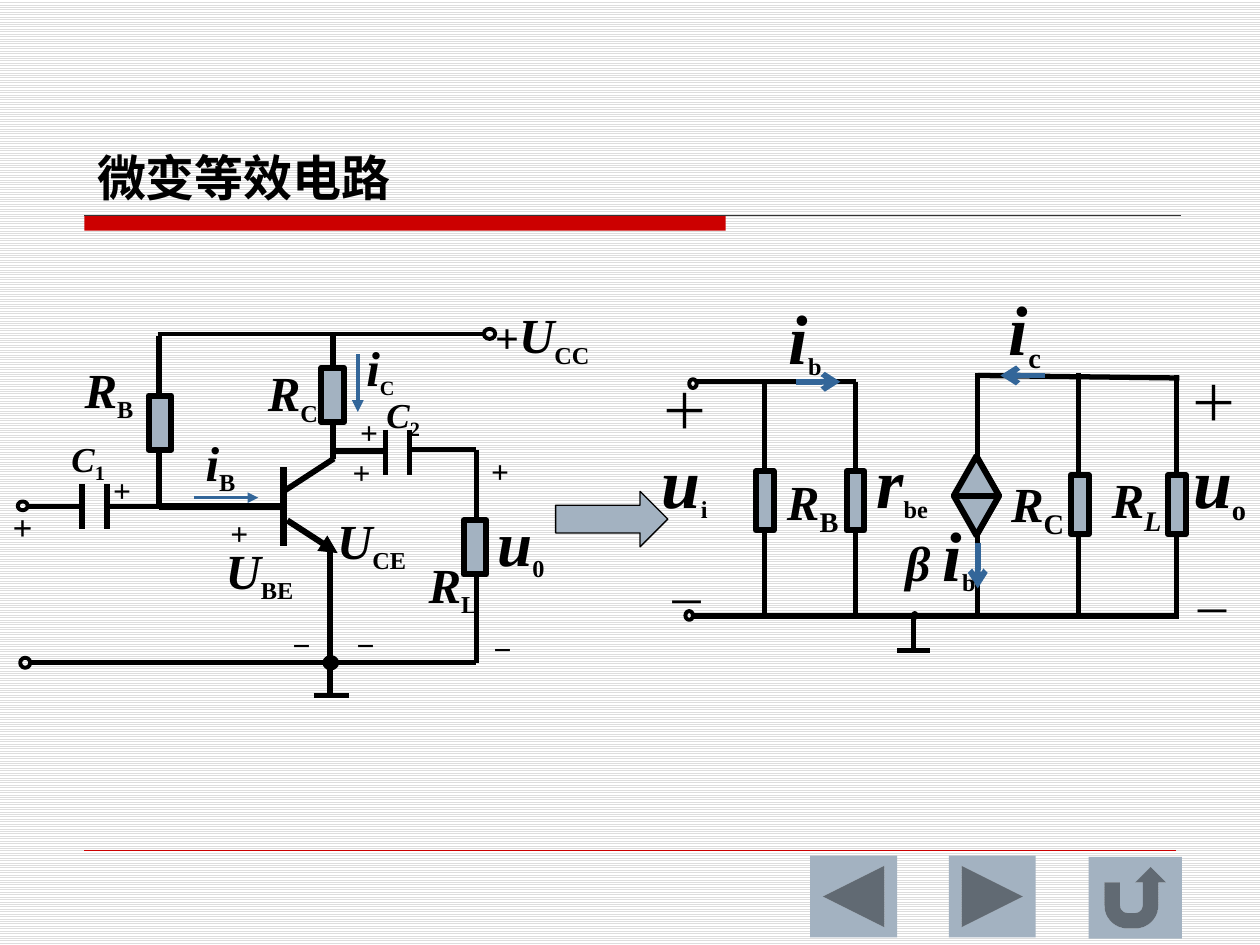
"""Build a slide showing an amplifier stage and its small-signal equivalent circuit."""
from dataclasses import dataclass
from typing import Optional

from lxml import etree
from pptx import Presentation
from pptx import util as u
from pptx.dml.color import RGBColor
from pptx.enum import dml, shapes, text
from pptx.oxml.ns import qn

COLORS = {"ink": "000000", "part": "A3B2C1", "current": "336699", "accent": "CC0000",
          "rule": "333333", "stripe": "DDDDDD", "paper": "FFFFFF"}
FONT, TITLE_FONT = "Times New Roman", "Noto Sans CJK SC"
COLUMNS, ROWS = 100, 75
SHAPE = shapes.MSO_SHAPE

presentation = Presentation()
presentation.slide_width, presentation.slide_height = u.Inches(10), u.Inches(7.5)


@dataclass(frozen=True)
class Wire:
    """A straight line between two grid points."""
    x1: float
    y1: float
    x2: float
    y2: float
    weight: float = 3
    color: str = "ink"
    arrow: str = ""


@dataclass(frozen=True)
class Block:
    """A preset shape on the grid."""
    left: float
    top: float
    width: float
    height: float
    kind: int = SHAPE.RECTANGLE
    fill: Optional[str] = "part"
    weight: float = 3.5


@dataclass(frozen=True)
class Run:
    """A piece of label text in one format."""
    text: str
    size: float
    italic: bool = False
    lowered: bool = False


@dataclass(frozen=True)
class Label:
    """A centred line of runs in a box whose height follows its largest run."""
    left: float
    top: float
    width: float
    runs: tuple
    bold: bool = True
    wrap: bool = False


@dataclass(frozen=True)
class Lead:
    """A wire from a block's connection site to a grid point."""
    block: int
    site: int
    x: float
    y: float


@dataclass(frozen=True)
class Circuit:
    """Everything drawn in one circuit diagram."""
    wires: list
    blocks: list
    leads: list
    currents: list
    labels: list


def symbol(name: str, size: float, index: str, index_size: float, slanted: bool = False) -> tuple:
    """Return the runs of an italic quantity with a subscript."""
    return Run(name, size, True), Run(index, index_size, slanted, True)


def column(count: float) -> int:
    """Convert grid columns to a length."""
    return round(presentation.slide_width * count / COLUMNS)


def row(count: float) -> int:
    """Convert grid rows to a length."""
    return round(presentation.slide_height * count / ROWS)


def rgb(name: str) -> RGBColor:
    """Look up a named colour."""
    return RGBColor.from_string(COLORS[name])


def draw_wire(canvas, wire: Wire):
    """Draw a line, with an arrowhead at its end when one is named."""
    connector = canvas.add_connector(shapes.MSO_CONNECTOR.STRAIGHT, column(wire.x1), row(wire.y1),
                                     column(wire.x2), row(wire.y2))
    connector.line.color.rgb = rgb(wire.color)
    connector.line.width = u.Pt(wire.weight)
    if wire.arrow:
        etree.SubElement(connector.line._get_or_add_ln(), qn("a:tailEnd"), type=wire.arrow)
    etree.SubElement(connector._element.spPr, qn("a:effectLst"))
    return connector


def draw_block(canvas, block: Block):
    """Draw a preset shape, unfilled or unlined when so described."""
    shape = canvas.add_shape(block.kind, column(block.left), row(block.top),
                             column(block.width), row(block.height))
    shape.shadow.inherit = False
    if block.fill:
        shape.fill.solid()
        shape.fill.fore_color.rgb = rgb(block.fill)
    else:
        shape.fill.background()
    if block.weight:
        shape.line.color.rgb = rgb("ink")
        shape.line.width = u.Pt(block.weight)
    else:
        shape.line.fill.background()
    return shape


def draw_label(canvas, label: Label) -> None:
    """Write a label in a text box."""
    height = u.Pt(max(run.size for run in label.runs) * 1.2 + 7.2)
    box = canvas.add_textbox(column(label.left), row(label.top), column(label.width), height)
    frame = box.text_frame
    frame.word_wrap = label.wrap
    frame.auto_size = text.MSO_AUTO_SIZE.SHAPE_TO_FIT_TEXT
    paragraph = frame.paragraphs[0]
    paragraph.alignment = text.PP_ALIGN.CENTER
    paragraph.font.name, paragraph.font.bold = FONT, label.bold
    paragraph.font.color.rgb = rgb("ink")
    for piece in label.runs:
        run = paragraph.add_run()
        run.text = piece.text
        run.font.size, run.font.italic = u.Pt(piece.size), piece.italic
        if piece.lowered:
            run.font._element.set("baseline", "-25000")


def draw_circuit(slide, circuit: Circuit) -> None:
    """Draw a whole circuit as one group."""
    canvas = slide.shapes.add_group_shape().shapes
    for wire in circuit.wires:
        draw_wire(canvas, wire)
    drawn = [draw_block(canvas, block) for block in circuit.blocks]
    for lead in circuit.leads:
        connector = draw_wire(canvas, Wire(lead.x, lead.y, lead.x, lead.y))
        connector.begin_connect(drawn[lead.block], lead.site)
    for current in circuit.currents:
        draw_wire(canvas, current)
    for label in circuit.labels:
        draw_label(canvas, label)


def terminal(left: float, top: float, width: float = 0.8, height: float = 0.8,
             fill: Optional[str] = None, weight: float = 2.25) -> Block:
    """Return a small circle for a terminal or node."""
    return Block(left, top, width, height, SHAPE.OVAL, fill, weight)


def draw_title(slide) -> None:
    """Place the title and the rules that frame the slide."""
    draw_block(slide.shapes, Block(6.7, 17.1, 50.9, 1.2, fill="accent", weight=0))
    draw_wire(slide.shapes, Wire(6.7, 17.1, 93.7, 17.1, 0.75, "rule"))
    draw_wire(slide.shapes, Wire(6.7, 67.5, 93.3, 67.5, 0.25, "accent"))
    title = slide.shapes.title
    title.left, title.top, title.width, title.height = column(6.7), row(10.9), column(30.5), row(6.3)
    frame = title.text_frame
    frame.text = "微变等效电路"
    frame.auto_size, frame.vertical_anchor = text.MSO_AUTO_SIZE.NONE, text.MSO_ANCHOR.MIDDLE
    paragraph = frame.paragraphs[0]
    paragraph.alignment = text.PP_ALIGN.LEFT
    font = paragraph.font
    font.name, font.size, font.bold = TITLE_FONT, u.Pt(28), True
    font.color.rgb = rgb("ink")
    etree.SubElement(font._element, qn("a:ea"), typeface=TITLE_FONT)


PLUS, MINUS = (Run("+", 18),), (Run("－", 12),)
WIDE_PLUS, LOW_MINUS = (Run("＋", 28),), (Run("_", 32),)

EQUIVALENT = Circuit(
    wires=[Wire(55.3, 30.3, 67.9, 30.3), Wire(55.1, 48.9, 93.6, 48.9), Wire(77.6, 29.8, 93.6, 30),
           *(Wire(x, top, x, 48.9) for x, top in ((60.7, 30.3), (77.6, 29.6), (85.6, 29.6), (93.4, 29.8))),
           Wire(72.5, 48.9, 72.5, 51.6), Wire(71.2, 51.6, 73.8, 51.6)],
    blocks=[Block(67.2, 37.4, 1.4, 4.7), Block(60, 37.4, 1.4, 4.7), Block(85, 37.7, 1.4, 4.7),
            Block(92.7, 37.7, 1.4, 4.7), Block(75.7, 36.2, 3.6, 6.3, SHAPE.FLOWCHART_SORT),
            terminal(54.4, 48.5, 0.6, 0.7), terminal(54.7, 30.1, 0.6, 0.7),
            terminal(72.3, 48.5, 0.6, 0.7, "ink", 0)],
    leads=[Lead(0, 0, 67.9, 30.3), Lead(0, 2, 67.9, 48.9)],
    currents=[Wire(77.6, 43.1, 77.6, 46.7, 3.25, "current", "arrow"),
              Wire(63.2, 30.3, 66.7, 30.3, 3.25, "current", "arrow"),
              Wire(82.9, 29.8, 79.4, 29.8, 3.25, "current", "arrow")],
    labels=[Label(51.5, 34.3, 5.7, symbol("u", 40, "i", 24)), Label(93.6, 34.3, 6.4, symbol("u", 40, "o", 28)),
            Label(51.4, 29.7, 5.9, WIDE_PLUS, False), Label(93.4, 29.1, 5.9, WIDE_PLUS, False),
            Label(52.4, 42.4, 4.2, LOW_MINUS, False), Label(94.1, 43.1, 4.2, LOW_MINUS, False),
            Label(68.1, 34.3, 7, symbol("r", 40, "be", 24), wrap=True),
            Label(70.4, 40.1, 8.5, (Run("β ", 28, True), *symbol("i", 40, "b", 24))),
            Label(61.5, 22.9, 4.8, symbol("i", 40, "b", 24)), Label(79, 22.2, 4.7, symbol("i", 40, "c", 28)),
            Label(79.1, 37.1, 6.5, symbol("R", 28, "C", 28)), Label(61.3, 36.9, 6.4, symbol("R", 28, "B", 28)),
            Label(87.1, 36.8, 6.2, symbol("R", 28, "L", 28, True))])

AMPLIFIER = Circuit(
    wires=[Wire(12.6, 40.2, 22.5, 40.2, 3.5), Wire(22.5, 37.1, 22.5, 43.3, 3.5),
           Wire(22.5, 39, 26.5, 36.4, 3.25), Wire(22.8, 41.3, 26.8, 43.9, 3.5, arrow="triangle"),
           Wire(26.4, 26.7, 26.4, 36.4, 3.5), Wire(26.2, 43.3, 26.2, 53.4, 3.5),
           Wire(12.5, 26.5, 38.5, 26.5, 2.25), Wire(12.6, 26.7, 12.6, 40.2, 3.5),
           Wire(2.3, 52.6, 37.8, 52.6), Wire(2.3, 40.2, 6.5, 40.2), Wire(8.5, 40.2, 12.7, 40.2),
           Wire(26.2, 35.8, 30.7, 35.8), Wire(32.5, 35.7, 37.8, 35.7), Wire(37.8, 35.7, 37.8, 52.6),
           *(Wire(x, top, x, top + 3.6) for x, top in ((6.5, 38.4), (8.5, 38.4), (30.6, 34.1), (32.5, 34.1))),
           Wire(26.2, 52.6, 26.2, 55.2), Wire(24.9, 55.2, 27.7, 55.2)],
    blocks=[*(Block(x, y, 1.8, 4.3) for x, y in ((11.8, 31.4), (25.5, 29.2), (36.8, 41.3))),
            terminal(38.4, 26.1, 0.9), terminal(1.6, 52.2), terminal(1.4, 39.8, height=0.7),
            terminal(25.8, 52.2, 0.9, weight=3)],
    leads=[],
    currents=[Wire(15.4, 39.5, 20.5, 39.5, 2, "current", "triangle"),
              Wire(28.4, 28.1, 28.4, 32.7, 2.25, "current", "triangle")],
    labels=[*(Label(x, y, 3.4, PLUS) for x, y in ((17.3, 40.3), (27, 35.5), (8, 36.9), (27.6, 32.3), (38, 35.4))),
            *(Label(x, y, 3.7, MINUS) for x, y in ((22.1, 49.8), (27.2, 49.8), (38.1, 50.1))),
            *(Label(x, y, 6.1, symbol("R", 28, index, 24))
              for x, y, index in ((5.6, 28, "B"), (20.2, 28.3, "C"), (32.9, 43.5, "L"))),
            *(Label(x, y, 7.8, symbol("U", 28, index, 24)) for x, y, index in ((25.6, 40, "CE"), (16.7, 42.4, "BE"))),
            *(Label(x, y, 6.2, symbol("C", 20, index, 20), wrap=True)
              for x, y, index in ((3.9, 34.2, "1"), (28.9, 30.7, "2"))),
            Label(38.1, 23.7, 9.9, (Run("+", 24), *symbol("U", 28, "CC", 24))),
            Label(38.4, 39.5, 5.9, symbol("u", 36, "0", 24)),
            Label(15.2, 33.8, 4.6, symbol("i", 28, "B", 24)), Label(28, 26.3, 4.4, symbol("i", 28, "C", 20))])

EXTRAS = [Block(44.1, 39, 8.9, 4.4, SHAPE.RIGHT_ARROW, weight=0.75),
          Block(64.3, 67.9, 6.9, 6.5, SHAPE.ACTION_BUTTON_BACK_OR_PREVIOUS, weight=0),
          Block(75.3, 67.9, 6.9, 6.5, SHAPE.ACTION_BUTTON_FORWARD_OR_NEXT, weight=0),
          Block(86.4, 68, 7.4, 6.5, SHAPE.ACTION_BUTTON_RETURN, weight=0)]


def main() -> None:
    """Assemble and save the slide."""
    slide = presentation.slides.add_slide(presentation.slide_layouts[5])
    background = slide.background.fill
    background.patterned()
    background.pattern = dml.MSO_PATTERN.LIGHT_HORIZONTAL
    background.fore_color.rgb, background.back_color.rgb = rgb("stripe"), rgb("paper")
    draw_title(slide)
    draw_circuit(slide, EQUIVALENT)
    draw_label(slide.shapes, Label(0, 39.6, 3.6, (Run("+", 20),)))
    draw_circuit(slide, AMPLIFIER)
    for block in EXTRAS:
        draw_block(slide.shapes, block)
    presentation.save("out.pptx")


if __name__ == "__main__":
    main()
